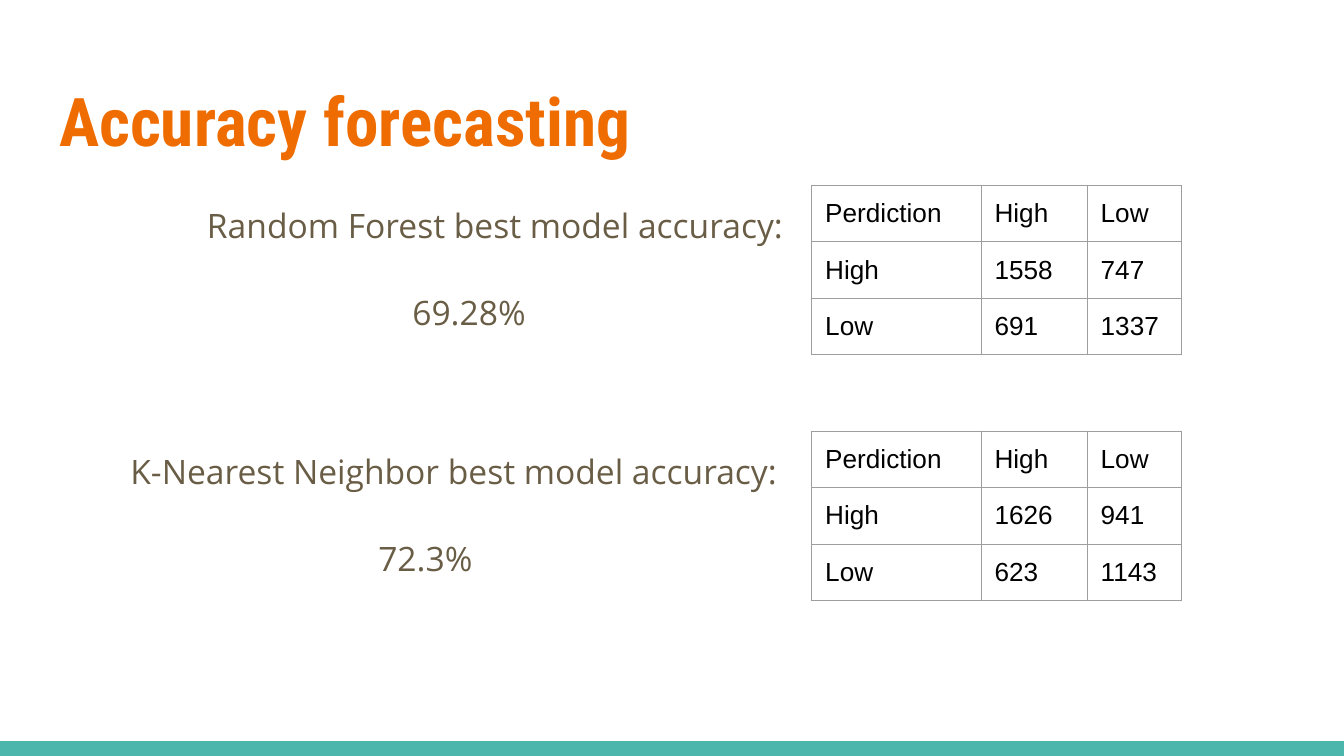
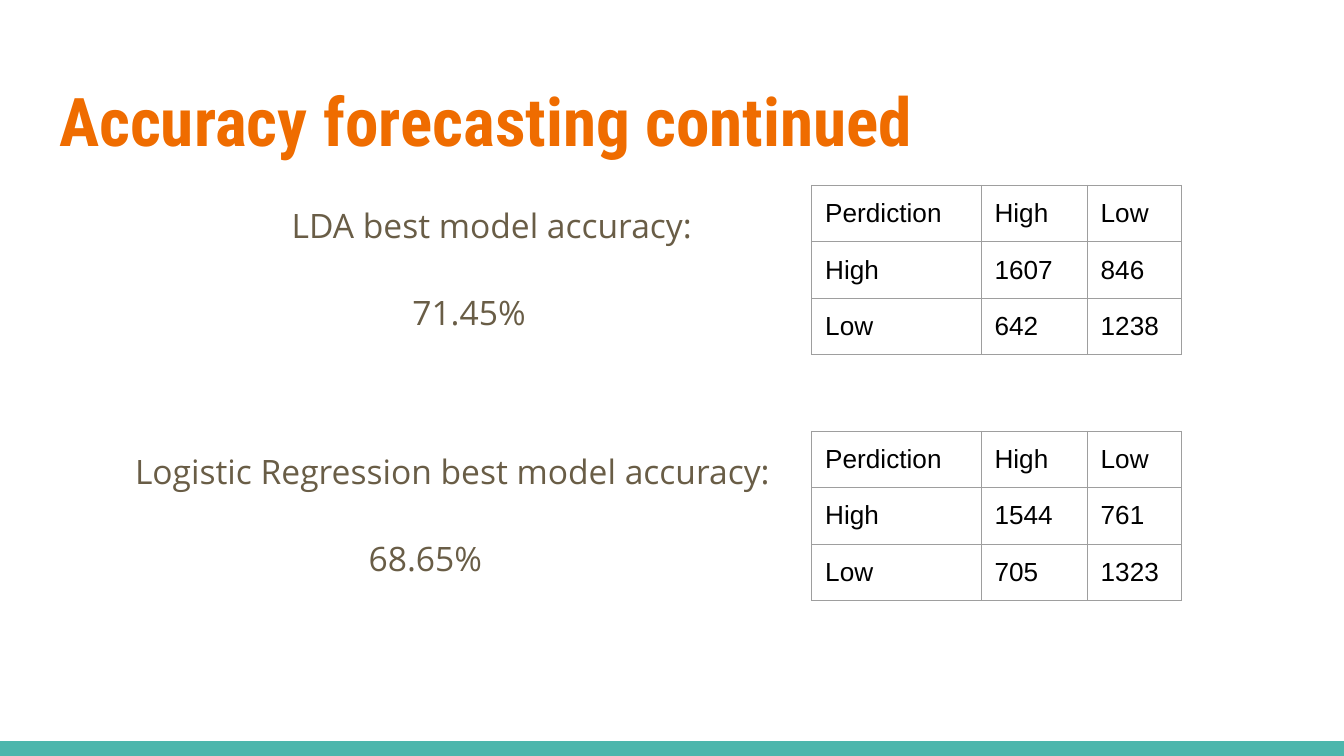
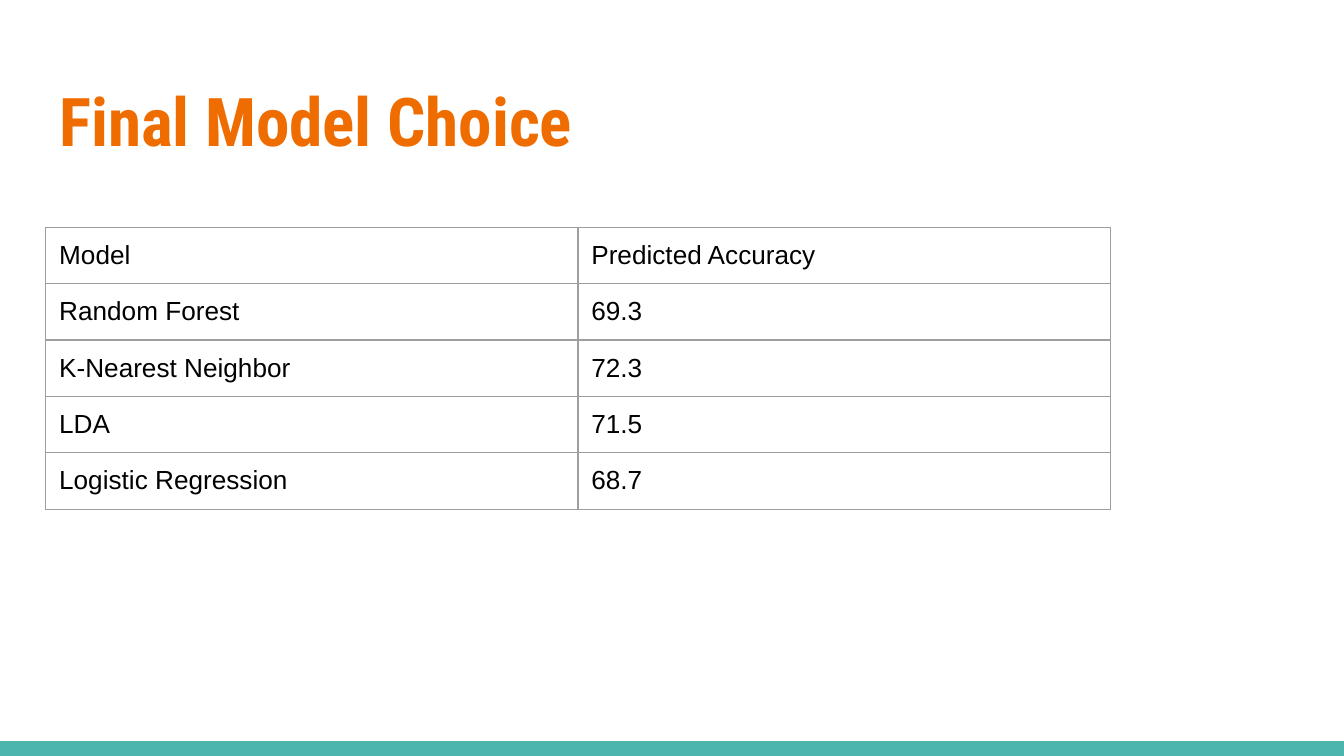
import dataclasses

import lxml.etree
import pptx
import pptx.dml.color
import pptx.enum.shapes
import pptx.enum.text
import pptx.oxml.ns
import pptx.util

ALIGN = pptx.enum.text.PP_ALIGN

ACCURACY_SLIDES = [
    {
        "title": "Accuracy forecasting",
        "models": [
            {
                "label": "Random Forest best model accuracy:",
                "left": 1.44, "align": ALIGN.LEFT, "right_inset": 0.1,
                "accuracy": "69.28%",
                "counts": [("1558", "747"), ("691", "1337")],
            },
            {
                "label": "K-Nearest Neighbor best model accuracy:",
                "left": 0.87, "align": ALIGN.LEFT, "right_inset": 0.1,
                "accuracy": "72.3%",
                "counts": [("1626", "941"), ("623", "1143")],
            },
        ],
    },
    {
        "title": "Accuracy forecasting continued",
        "models": [
            {
                "label": "LDA best model accuracy:",
                "left": 0.78, "align": ALIGN.RIGHT, "right_inset": 0.82,
                "accuracy": "71.45%",
                "counts": [("1607", "846"), ("642", "1238")],
            },
            {
                "label": "Logistic Regression best model accuracy:",
                "left": 0.87, "align": ALIGN.RIGHT, "right_inset": 0.24,
                "accuracy": "68.65%",
                "counts": [("1544", "761"), ("705", "1323")],
            },
        ],
    },
]
CLASSES = ("High", "Low")
CHOICE_TITLE = "Final Model Choice"
CHOICE_ROWS = [
    ("Model", "Predicted Accuracy"),
    ("Random Forest", "69.3"),
    ("K-Nearest Neighbor", "72.3"),
    ("LDA", "71.5"),
    ("Logistic Regression", "68.7"),
]


@dataclasses.dataclass(frozen=True)
class Theme:
    band: str = "4DB6AC"
    grid: str = "9E9E9E"
    white: str = "FFFFFF"
    title: tuple = ("Roboto Condensed", 36, True, "EF6C00")
    body: tuple = ("Open Sans", 18, False, "695D46")
    cell: tuple = ("Arial", 14, False, "000000")
    line_width: float = 0.75


THEME = Theme()
WIDTH, HEIGHT = 10, 5.625
MARGIN = 0.34
INSET = 0.1
BAND_HEIGHT = 0.11
TEXT_HEIGHT = 0.65
LABEL_RIGHT = 5.97
VALUE_LEFT, VALUE_WIDTH = 0.94, 5.1
VALUE_INSETS = (INSET, 0.75)
MODEL_TOP, MODEL_STEP = 1.38, 1.83
MATRIX_LEFT, MATRIX_COLUMNS = 6.04, (1.26, 0.79, 0.7)
CHOICE_TOP, CHOICE_COLUMNS = 1.69, (3.96, 3.96)
ROW_HEIGHT = 0.42
COMPARISON_LAYOUT, TITLE_LAYOUT = 4, 5


def color(value):
    return pptx.dml.color.RGBColor.from_string(value)


def inches(*values):
    return [pptx.util.Inches(value) for value in values]


def set_all(target, values):
    for name, value in values.items():
        setattr(target, name, value)


def write(frame, text, style, **paragraph_format):
    name, size, bold, text_color = style
    frame.text = text
    paragraph = frame.paragraphs[0]
    set_all(paragraph, paragraph_format)
    font = paragraph.runs[0].font
    set_all(font, {"name": name, "size": pptx.util.Pt(size), "bold": bold})
    font.color.rgb = color(text_color)
    return paragraph


def fill_placeholder(shape, box, text, style, right_inset=INSET, **paragraph_format):
    set_all(shape, dict(zip(("left", "top", "width", "height"), inches(*box))))
    frame = shape.text_frame
    set_all(frame, {
        "word_wrap": True,
        "auto_size": pptx.enum.text.MSO_AUTO_SIZE.NONE,
        "vertical_anchor": pptx.enum.text.MSO_ANCHOR.TOP,
        "margin_left": pptx.util.Inches(INSET),
        "margin_top": pptx.util.Inches(INSET),
        "margin_right": pptx.util.Inches(right_inset),
        "margin_bottom": pptx.util.Inches(INSET),
    })
    paragraph = write(frame, text, style, space_before=pptx.util.Pt(0), **paragraph_format)
    properties = paragraph.runs[0].font and paragraph._p.get_or_add_pPr()
    set_indent = {"marL": "0", "indent": "0"}
    for name, value in set_indent.items():
        properties.set(name, value)
    lxml.etree.SubElement(properties, pptx.oxml.ns.qn("a:buNone"))


def add_titled_slide(presentation, layout, title):
    slide = presentation.slides.add_slide(presentation.slide_layouts[layout])
    fill_placeholder(slide.shapes.title, (MARGIN, 0.49, WIDTH - 2 * MARGIN, 0.77),
                     title, THEME.title, alignment=ALIGN.LEFT)
    return slide


def add_border(cell):
    properties = cell._tc.get_or_add_tcPr()
    for side in ("lnL", "lnR", "lnT", "lnB"):
        line = lxml.etree.SubElement(properties, pptx.oxml.ns.qn(f"a:{side}"),
                                     w=str(pptx.util.Pt(THEME.line_width)))
        fill = lxml.etree.SubElement(line, pptx.oxml.ns.qn("a:solidFill"))
        lxml.etree.SubElement(fill, pptx.oxml.ns.qn("a:srgbClr"), val=THEME.grid)


def add_grid(slide, left, top, column_widths, rows):
    box = inches(left, top, sum(column_widths), ROW_HEIGHT * len(rows))
    table = slide.shapes.add_table(len(rows), len(column_widths), *box).table
    set_all(table, {"first_row": False, "horz_banding": False})
    for column, width in zip(table.columns, column_widths):
        column.width = pptx.util.Inches(width)
    margins = ("margin_left", "margin_top", "margin_right", "margin_bottom")
    for row_index, values in enumerate(rows):
        for column_index, value in enumerate(values):
            cell = table.cell(row_index, column_index)
            set_all(cell, dict.fromkeys(margins, pptx.util.Inches(INSET)))
            write(cell.text_frame, value, THEME.cell)
            add_border(cell)
            cell.fill.background()


def add_model(slide, index, model):
    top = MODEL_TOP + index * MODEL_STEP
    label, value = (slide.placeholders[2 * index + offset] for offset in (1, 2))
    fill_placeholder(label, (model["left"], top, LABEL_RIGHT - model["left"], TEXT_HEIGHT),
                     model["label"], THEME.body, model["right_inset"],
                     alignment=model["align"], line_spacing=1.15)
    fill_placeholder(value, (VALUE_LEFT, top + TEXT_HEIGHT, VALUE_WIDTH, TEXT_HEIGHT),
                     model["accuracy"], THEME.body, VALUE_INSETS[index],
                     alignment=ALIGN.CENTER, line_spacing=1.15)
    rows = [("Perdiction", *CLASSES)]
    rows += [(name, *counts) for name, counts in zip(CLASSES, model["counts"])]
    add_grid(slide, MATRIX_LEFT, top, MATRIX_COLUMNS, rows)


def add_master_band(presentation, slide):
    band = slide.shapes.add_shape(pptx.enum.shapes.MSO_SHAPE.RECTANGLE,
                                  *inches(0, HEIGHT - BAND_HEIGHT, WIDTH, BAND_HEIGHT))
    band.shadow.inherit = False
    band.fill.solid()
    band.fill.fore_color.rgb = color(THEME.band)
    band.line.fill.background()
    master_tree = presentation.slide_master.shapes.element
    band.element.nvSpPr.cNvPr.set("id", str(len(master_tree) + 10))
    master_tree.insert(2, band.element)


def main():
    presentation = pptx.Presentation()
    set_all(presentation, dict(zip(("slide_width", "slide_height"), inches(WIDTH, HEIGHT))))
    background = presentation.slide_master.background.fill
    background.solid()
    background.fore_color.rgb = color(THEME.white)
    for content in ACCURACY_SLIDES:
        slide = add_titled_slide(presentation, COMPARISON_LAYOUT, content["title"])
        outline = slide.shapes.title.line
        outline.color.rgb = color(THEME.white)
        outline.width = pptx.util.Pt(THEME.line_width)
        for index, model in enumerate(content["models"]):
            add_model(slide, index, model)
    slide = add_titled_slide(presentation, TITLE_LAYOUT, CHOICE_TITLE)
    add_grid(slide, MARGIN, CHOICE_TOP, CHOICE_COLUMNS, CHOICE_ROWS)
    add_master_band(presentation, slide)
    presentation.save("out.pptx")


if __name__ == "__main__":
    main()
